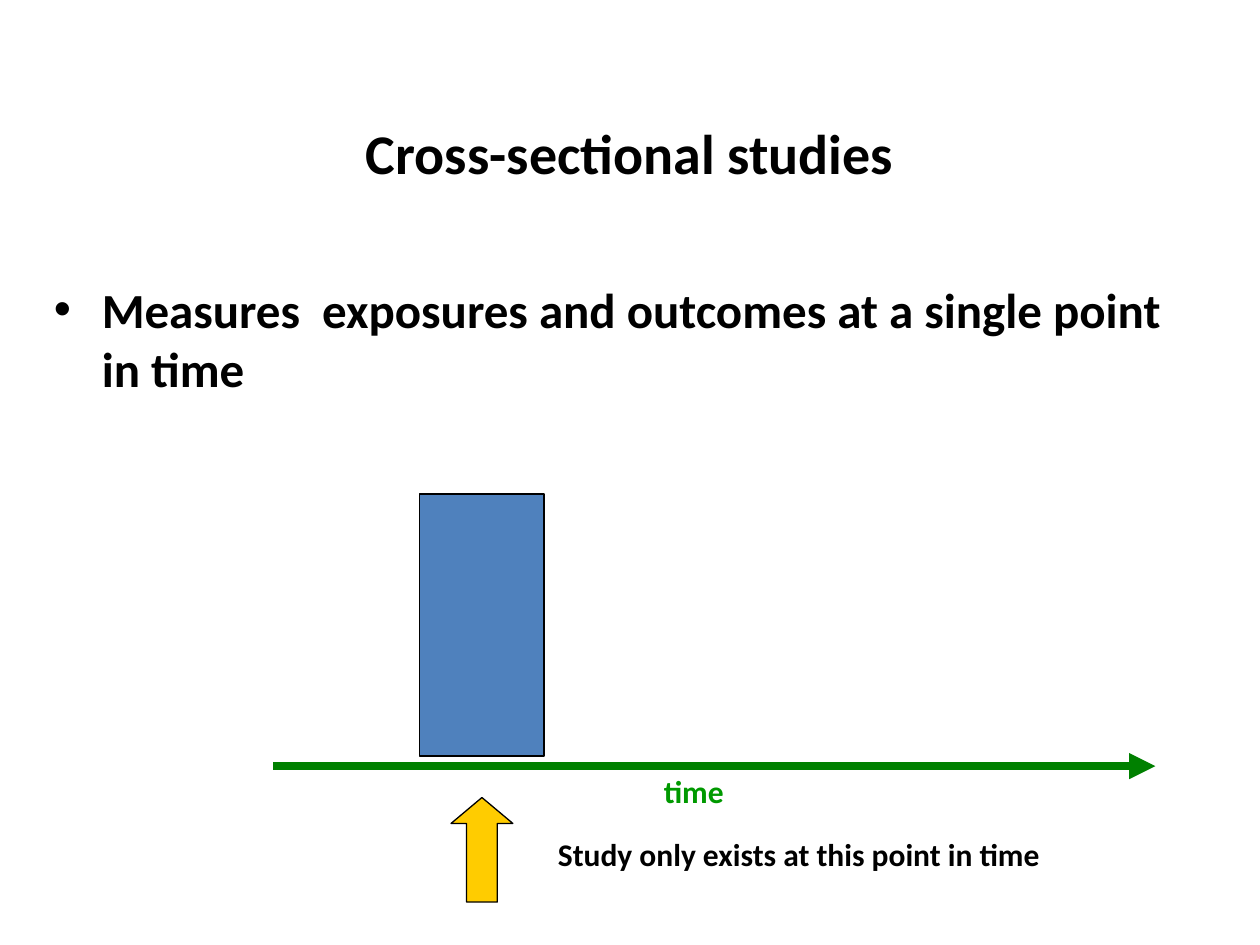
from lxml import etree
from pptx import Presentation
from pptx import util as u
from pptx.dml.color import RGBColor
from pptx.enum import shapes, text
from pptx.oxml.ns import qn

COLORS = {
    "ink": "000000",
    "study": "4F81BD",
    "axis": "008000",
    "axis_label": "009900",
    "marker": "FFCC00",
}
FONT = "Calibri"


def rgb(name):
    return RGBColor.from_string(COLORS[name])


def inches(*lengths):
    return [u.Inches(length) for length in lengths]


def add_text(slide, box, wording, size, color="ink", align=text.PP_ALIGN.LEFT,
             anchor=text.MSO_ANCHOR.TOP, bullet=False):
    frame = slide.shapes.add_textbox(*inches(*box)).text_frame
    frame.word_wrap = True
    frame.vertical_anchor = anchor
    paragraph = frame.paragraphs[0]
    paragraph.text = wording
    paragraph.alignment = align
    if bullet:
        add_bullet(paragraph)
    font = paragraph.font
    font.name, font.size, font.bold = FONT, u.Pt(size), True
    font.color.rgb = rgb(color)


def add_bullet(paragraph):
    properties = paragraph._p.get_or_add_pPr()
    indent = u.Inches(0.38)
    properties.set("marL", str(indent))
    properties.set("indent", str(-indent))
    etree.SubElement(properties, qn("a:buFont"), typeface="Arial")
    etree.SubElement(properties, qn("a:buChar"), char="•")


def add_block(slide, kind, box, fill, line_width):
    block = slide.shapes.add_shape(kind, *inches(*box))
    block.shadow.inherit = False
    block.fill.solid()
    block.fill.fore_color.rgb = rgb(fill)
    block.line.color.rgb = rgb("ink")
    block.line.width = u.Pt(line_width)
    return block


def add_time_axis(slide, left, right, y):
    axis = slide.shapes.add_connector(
        shapes.MSO_CONNECTOR.STRAIGHT, *inches(left, y, right, y))
    axis.line.color.rgb = rgb("axis")
    axis.line.width = u.Pt(5)
    etree.SubElement(axis.line._get_or_add_ln(), qn("a:tailEnd"), type="triangle")
    etree.SubElement(axis._element.spPr, qn("a:effectLst"))


def main():
    deck = Presentation()
    deck.slide_width, deck.slide_height = inches(10, 7.5)
    slide = deck.slides.add_slide(deck.slide_layouts[6])

    add_text(slide, (0.75, 0.83, 8.5, 0.75), "Cross-sectional studies", 32,
             align=text.PP_ALIGN.CENTER, anchor=text.MSO_ANCHOR.MIDDLE)
    add_text(slide, (0.33, 2.17, 9.33, 1.08),
             "Measures  exposures and outcomes at a single point in time", 28,
             bullet=True)

    add_block(slide, shapes.MSO_SHAPE.RECTANGLE, (3.33, 3.92, 0.99, 2.08), "study", 1)
    add_time_axis(slide, 2.17, 9.17, 6.08)
    add_text(slide, (5.17, 6.08, 0.83, 0.5), "time", 18, "axis_label")

    marker = add_block(slide, shapes.MSO_SHAPE.UP_ARROW,
                       (3.58, 6.33, 0.49, 0.83), "marker", 0.75)
    marker.adjustments[0] = 0.5
    marker.adjustments[1] = 0.42
    add_text(slide, (4.33, 6.58, 5.45, 0.5),
             "Study only exists at this point in time", 18)

    deck.save("out.pptx")


if __name__ == "__main__":
    main()
